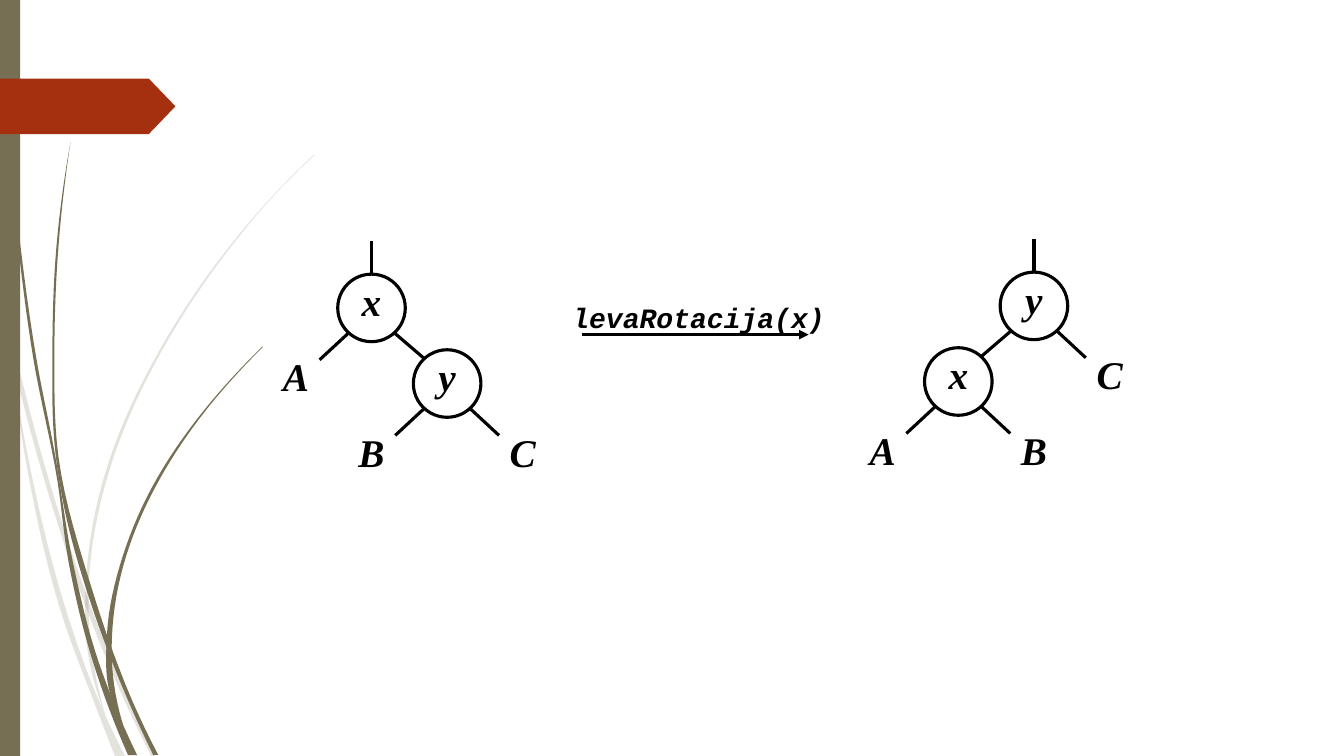
"""Draw a left rotation of a binary search tree."""
from dataclasses import dataclass
from typing import Optional

from pptx import Presentation
from pptx.dml.color import RGBColor
from pptx.enum.shapes import MSO_CONNECTOR, MSO_SHAPE
from pptx.enum.text import MSO_ANCHOR, MSO_AUTO_SIZE, PP_ALIGN
from pptx.oxml.ns import qn
from pptx.oxml.xmlchemy import OxmlElement
from pptx.shapes.autoshape import Shape
from pptx.shapes.connector import Connector
from pptx.shapes.shapetree import SlideShapes
from pptx.util import Inches, Pt

STRAIGHT = MSO_CONNECTOR.STRAIGHT
CIRCLE = MSO_SHAPE.OVAL
RECTANGLE = MSO_SHAPE.RECTANGLE
POINTED_BANNER = MSO_SHAPE.PENTAGON
MIDDLE = MSO_ANCHOR.MIDDLE
GROW = MSO_AUTO_SIZE.SHAPE_TO_FIT_TEXT
CENTER = PP_ALIGN.CENTER

Point = tuple[float, float]


@dataclass(frozen=True)
class Theme:
    ink: RGBColor = RGBColor(0, 0, 0)
    paper: RGBColor = RGBColor(255, 255, 255)
    olive: RGBColor = RGBColor(0x76, 0x6F, 0x54)
    rust: RGBColor = RGBColor(0xA5, 0x30, 0x10)
    node_font: str = "Times New Roman"
    code_font: str = "Courier New"
    node_size: float = 28
    code_size: float = 20
    stroke: float = 2.25


@dataclass(frozen=True)
class Wisp:
    left_edge: list[Point]
    right_edge: list[Point]
    opacity: int = 100


@dataclass(frozen=True)
class Node:
    key: str
    left: Optional["Node"] = None
    right: Optional["Node"] = None

    @property
    def is_subtree(self) -> bool:
        return self.left is None and self.right is None


@dataclass(frozen=True)
class Tree:
    root: Node
    x: float
    y: float


THEME = Theme()
DIAMETER = 0.67
PITCH = 0.75
STEM = 0.33
CURVE_STEPS = 8

WISPS = [
    Wisp([(0, 2.99), (0.17, 3.76), (0.58, 5.22), (0.84, 5.99), (1.23, 6.94), (1.5, 7.5)],
         [(0, 2.82), (0.14, 3.45), (0.62, 5.2), (0.92, 6.07), (1.27, 6.92), (1.55, 7.5)], 20),
    Wisp([(0.11, 3.5), (0.28, 4.7), (0.65, 6.21), (0.92, 6.93), (1.14, 7.5)],
         [(0.11, 3.5), (0.31, 4.69), (0.7, 6.19), (0.93, 6.83), (1.24, 7.5)], 20),
    Wisp([(3.12, 1.53), (2.68, 1.97), (2.28, 2.44), (1.58, 3.48), (1.07, 4.61),
          (0.85, 5.84), (0.87, 6.46), (1.05, 7.11)],
         [(3.12, 1.54), (2.68, 1.98), (2.29, 2.45), (1.6, 3.49), (1.1, 4.62),
          (0.88, 5.84), (0.91, 6.46), (1.05, 7.11)], 20),
    Wisp([(0.03, 0), (0.07, 1.1), (0.17, 2.33), (0.33, 3.55), (0.57, 4.77),
          (0.68, 5.57), (0.93, 6.59), (1.27, 7.49)],
         [(0.04, 0), (0.08, 1.09), (0.19, 2.32), (0.36, 3.55), (0.55, 4.53),
          (0.72, 5.56), (0.98, 6.57), (1.36, 7.49)]),
    Wisp([(0.7, 1.41), (0.56, 2.45), (0.52, 3.49), (0.55, 4.49), (0.64, 5.05),
          (0.88, 5.92), (1.11, 6.56), (1.52, 7.49)],
         [(0.7, 1.41), (0.58, 2.45), (0.54, 3.49), (0.58, 4.53), (0.93, 5.9),
          (1.1, 6.41), (1.36, 7.06), (1.57, 7.49)]),
    Wisp([(2.6, 3.44), (2.04, 4.05), (1.56, 4.74), (1.22, 5.51), (1.06, 6.31),
          (1.1, 6.91), (1.22, 7.19)],
         [(2.61, 3.44), (2.05, 4.06), (1.58, 4.76), (1.25, 5.52), (1.11, 6.33),
          (1.11, 6.56), (1.22, 7.19)]),
]

BEFORE = Tree(Node("x", Node("A"), Node("y", Node("B"), Node("C"))), 3.35, 2.72)
AFTER = Tree(Node("y", Node("x", Node("A"), Node("B")), Node("C")), 9.92, 2.7)


def smooth(edge: list[Point]) -> list[Point]:
    """Return points on a smooth curve through an edge that runs downwards."""
    drops = [below[1] - above[1] for above, below in zip(edge, edge[1:])]
    leans = [(below[0] - above[0]) / drop for above, below, drop in zip(edge, edge[1:], drops)]
    inner = [(lean0 * drop1 + lean1 * drop0) / (drop0 + drop1)
             for lean0, lean1, drop0, drop1 in zip(leans, leans[1:], drops, drops[1:])]
    slopes = [2 * leans[0] - inner[0], *inner, 2 * leans[-1] - inner[-1]]
    curve = [edge[0]]
    for (x0, y0), (x1, _), drop, m0, m1 in zip(edge, edge[1:], drops, slopes, slopes[1:]):
        for step in range(1, CURVE_STEPS + 1):
            t = step / CURVE_STEPS
            blend = t * t * (3 - 2 * t)
            bend = drop * t * (1 - t) * (m0 * (1 - t) - m1 * t)
            curve.append((x0 + (x1 - x0) * blend + bend, y0 + drop * t))
    return curve


def paint(shape: Shape, fill: RGBColor, outlined: bool = False) -> None:
    """Give a shape a flat fill and, if asked, an ink outline."""
    shape.shadow.inherit = False
    shape.fill.solid()
    shape.fill.fore_color.rgb = fill
    if outlined:
        shape.line.color.rgb = THEME.ink
        shape.line.width = Pt(THEME.stroke)
    else:
        shape.line.fill.background()


def write(shape: Shape, text: str, *, font: str, size: float,
          spacing: Optional[float] = None) -> None:
    """Write one centred bold italic line."""
    frame = shape.text_frame
    frame.word_wrap = False
    frame.margin_left = frame.margin_right = 0
    frame.vertical_anchor = MIDDLE
    paragraph = frame.paragraphs[0]
    paragraph.alignment = CENTER
    paragraph.line_spacing = spacing
    run = paragraph.add_run()
    run.text = text
    run.font.name = font
    run.font.size = Pt(size)
    run.font.bold = run.font.italic = True
    run.font.color.rgb = THEME.ink


def draw_wisp(shapes: SlideShapes, wisp: Wisp) -> None:
    """Draw one tapered blade of grass."""
    outline = smooth(wisp.left_edge) + smooth(wisp.right_edge)[::-1]
    start, *rest = [(Inches(x), Inches(y)) for x, y in outline]
    builder = shapes.build_freeform(*start)
    builder.add_line_segments(rest)
    blade = builder.convert_to_shape()
    paint(blade, THEME.olive)
    if wisp.opacity < 100:
        alpha = OxmlElement("a:alpha")
        alpha.set("val", str(wisp.opacity * 1000))
        blade.element.spPr.find(qn("a:solidFill"))[0].append(alpha)


def draw_line(shapes: SlideShapes, start: Point, end: Point, arrow: bool = False) -> Connector:
    """Draw a straight ink line, with an arrowhead at its end if asked."""
    line = shapes.add_connector(STRAIGHT, *map(Inches, start + end))
    line.line.color.rgb = THEME.ink
    line.line.width = Pt(THEME.stroke)
    properties = line.element.spPr
    if arrow:
        head = OxmlElement("a:tailEnd")
        head.set("type", "triangle")
        properties.find(qn("a:ln")).append(head)
    properties.append(OxmlElement("a:effectLst"))
    return line


def draw_node(shapes: SlideShapes, node: Node, x: float, y: float) -> Shape:
    """Draw a node, its descendants and the branches between them."""
    circle = shapes.add_shape(CIRCLE, *map(Inches, (x, y, DIAMETER, DIAMETER)))
    paint(circle, THEME.paper, outlined=not node.is_subtree)
    write(circle, node.key, font=THEME.node_font, size=THEME.node_size, spacing=0.6)
    middle = x + DIAMETER / 2
    for child, side in ((node.left, -1), (node.right, 1)):
        if child:
            draw_node(shapes, child, x + side * PITCH, y + PITCH)
            reach = 0.85 if child.is_subtree else 0.83
            draw_line(shapes, (middle + side * 0.235, y + 0.59),
                      (middle + side * 0.515, y + reach))
    return circle


def draw_tree(shapes: SlideShapes, tree: Tree) -> None:
    """Draw a tree with the stem above its root."""
    root = draw_node(shapes, tree.root, tree.x, tree.y)
    middle = tree.x + DIAMETER / 2
    stem = draw_line(shapes, (middle, tree.y), (middle, tree.y - STEM))
    stem.begin_connect(root, 0)


def main() -> None:
    """Build and save the slide."""
    deck = Presentation()
    deck.slide_width, deck.slide_height = Inches(13.33), Inches(7.5)
    shapes = deck.slides.add_slide(deck.slide_layouts[6]).shapes
    for wisp in WISPS:
        draw_wisp(shapes, wisp)
    paint(shapes.add_shape(RECTANGLE, 0, 0, Inches(0.2), Inches(7.5)), THEME.olive)
    banner = shapes.add_shape(POINTED_BANNER, 0, Inches(0.78), Inches(1.74), Inches(0.55))
    banner.adjustments[0] = 0.48
    paint(banner, THEME.rust)
    for tree in (AFTER, BEFORE):
        draw_tree(shapes, tree)
    draw_line(shapes, (5.77, 3.32), (8.02, 3.32), arrow=True)
    operation = shapes.add_textbox(*map(Inches, (5.58, 2.93, 2.7, 0.43)))
    write(operation, "levaRotacija(x)", font=THEME.code_font, size=THEME.code_size)
    operation.text_frame.auto_size = GROW
    deck.save("out.pptx")


if __name__ == "__main__":
    main()
